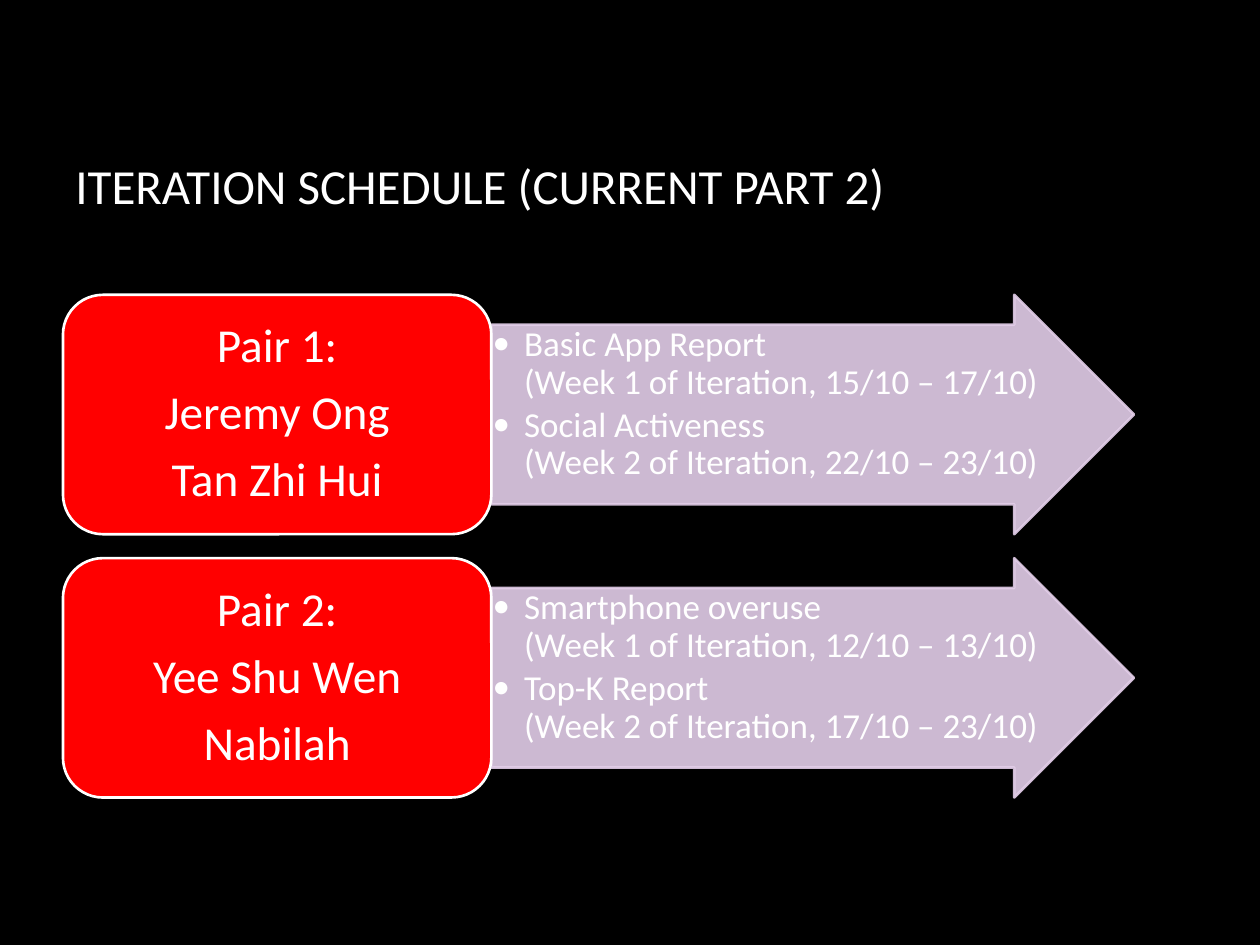
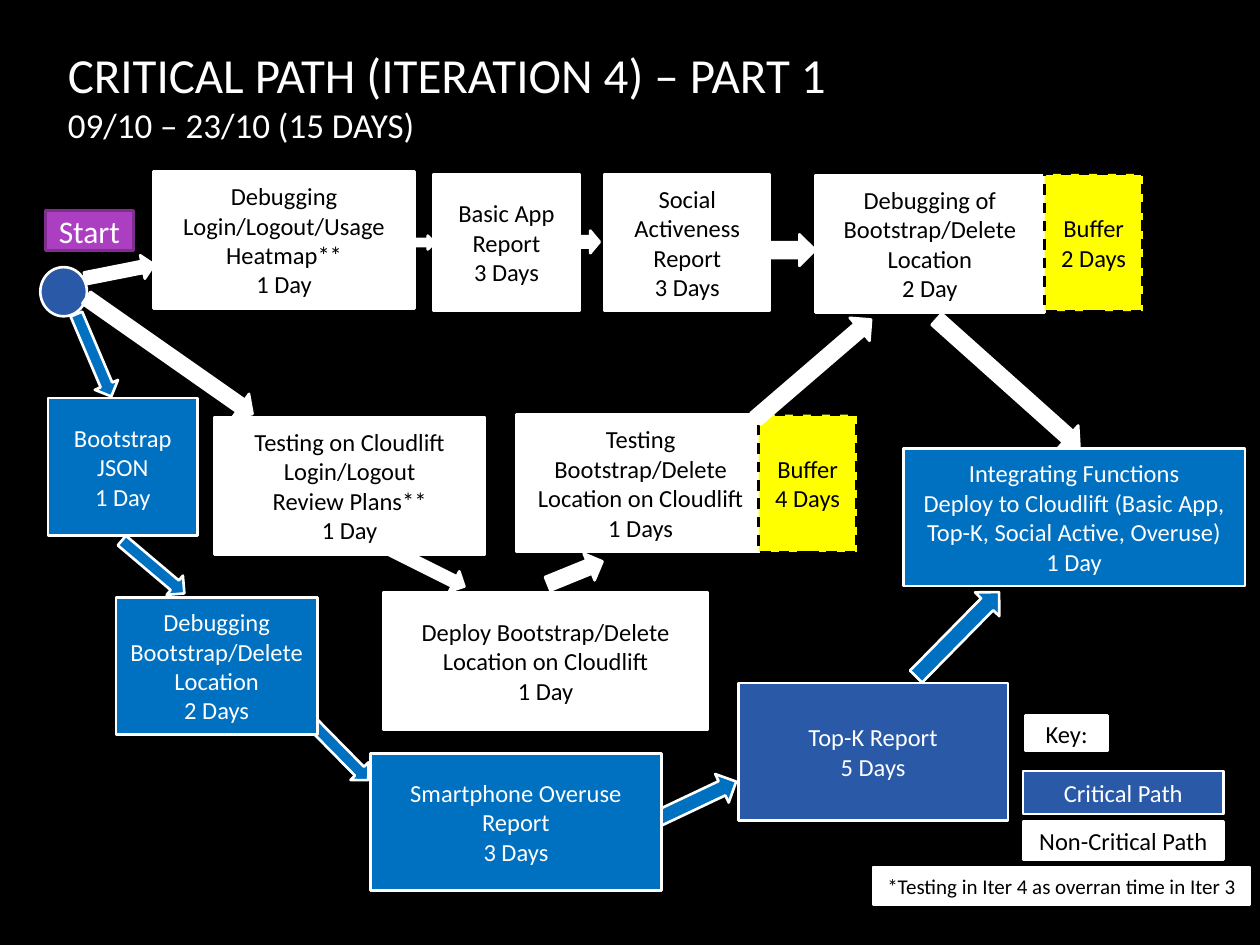
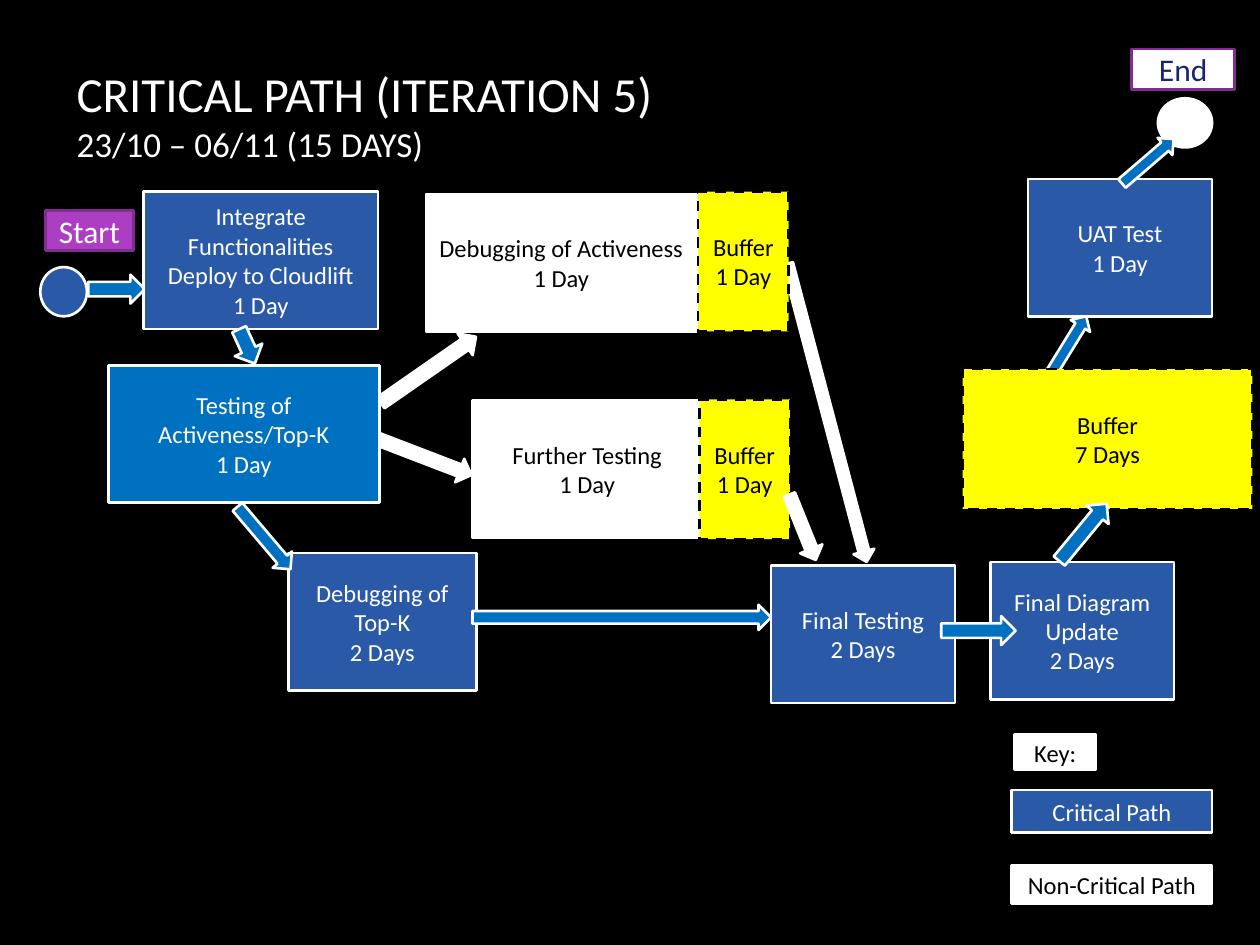
from collections import namedtuple

from lxml.etree import SubElement
from pptx import Presentation
from pptx.dml.color import RGBColor
from pptx.enum.dml import MSO_LINE
from pptx.enum.shapes import MSO_SHAPE as Preset
from pptx.enum.text import MSO_ANCHOR as Anchor, PP_ALIGN as Align
from pptx.oxml.ns import qn
from pptx.util import Inches, Pt

BLACK = RGBColor(0x00, 0x00, 0x00)
WHITE = RGBColor(0xFF, 0xFF, 0xFF)
NAVY = RGBColor(0x2A, 0x59, 0xA8)
BLUE = RGBColor(0x00, 0x70, 0xC0)
YELLOW = RGBColor(0xFF, 0xFF, 0x00)
RED = RGBColor(0xFF, 0x00, 0x00)
LILAC = RGBColor(0xE3, 0xCE, 0xE9)
PURPLE = RGBColor(0xAC, 0x3E, 0xC1)
PLUM = RGBColor(0x7F, 0x2E, 0x8F)
INK = RGBColor(0x18, 0x27, 0x6C)
FONT = "Calibri"
TASK_HEIGHT = 1.09

Style = namedtuple("Style", "preset fill line ink size", defaults=(WHITE, WHITE, 14))
CRITICAL = Style(Preset.RECTANGLE, NAVY)
ACTIVE = Style(Preset.RECTANGLE, BLUE)
PLAIN = Style(Preset.RECTANGLE, WHITE, ink=BLACK)
NOTE = PLAIN._replace(size=12)
BUFFER = Style(Preset.RECTANGLE, YELLOW, BLACK, BLACK)
START = Style(Preset.RECTANGLE, PURPLE, PLUM, size=18)
END = Style(Preset.RECTANGLE, WHITE, PLUM, INK, 18)
START_DOT = Style(Preset.OVAL, NAVY)
END_DOT = Style(Preset.OVAL, WHITE)
BLUE_ARROW = Style(Preset.RIGHT_ARROW, BLUE)
WHITE_ARROW = Style(Preset.RIGHT_ARROW, WHITE)
PAIR = Style(Preset.ROUNDED_RECTANGLE, RED, size=27)
WORK = Style(Preset.RIGHT_ARROW, LILAC, LILAC, size=20)

PAIRS = [
    (["Pair 1:", "Jeremy Ong", "Tan Zhi Hui"],
     ["Basic App Report\n(Week 1 of Iteration, 15/10 – 17/10)",
      "Social Activeness\n(Week 2 of Iteration, 22/10 – 23/10)"]),
    (["Pair 2:", "Yee Shu Wen", "Nabilah"],
     ["Smartphone overuse\n(Week 1 of Iteration, 12/10 – 13/10)",
      "Top-K Report\n(Week 2 of Iteration, 17/10 – 23/10)"]),
]

ITERATION_4 = [
    (BLUE_ARROW, 0.39, 2.72, 0.71, 0.2, 67),
    (WHITE_ARROW, 4.61, 1.83, 0.15, 0.18, 0),
    (PLAIN, 1.22, 1.36, 2.07, TASK_HEIGHT,
     ["Debugging Login/Logout/Usage Heatmap**", "1 Day"]),
    (BLUE_ARROW, 2.37, 5.86, 0.65, 0.2, 45.5),
    (PLAIN, 4.1, 3.29, 1.97, TASK_HEIGHT,
     ["Testing Bootstrap/Delete Location on Cloudlift", "1 Days"]),
    (WHITE_ARROW, 0.54, 2.71, 1.61, 0.23, 35),
    (WHITE_ARROW, 0.67, 2.06, 0.56, 0.19, 348.8),
    (WHITE_ARROW, 3.25, 1.87, 0.2, 0.11, 0),
    (PLAIN, 1.7, 3.31, 2.15, TASK_HEIGHT,
     ["Testing on Cloudlift", "Login/Logout", "Review Plans**", "1 Day"]),
    (ACTIVE, 0.38, 3.16, 1.19, TASK_HEIGHT, ["Bootstrap JSON", "1 Day"]),
    (BLUE_ARROW, 0.89, 4.4, 0.65, 0.2, 40.2),
    (CRITICAL, 5.86, 5.42, 2.14, TASK_HEIGHT, ["Top-K Report", "5 Days"]),
    (BLUE_ARROW, 5.12, 6.24, 0.76, 0.25, 334.7),
    (WHITE_ARROW, 4.33, 4.43, 0.47, 0.23, 337.8),
    (PLAIN, 3.04, 4.7, 2.58, TASK_HEIGHT,
     ["Deploy Bootstrap/Delete Location on Cloudlift", "1 Day"]),
    (ACTIVE, 0.92, 4.74, 1.6, TASK_HEIGHT,
     ["Debugging Bootstrap/Delete Location", "2 Days"]),
    (ACTIVE, 2.94, 5.98, 2.31, TASK_HEIGHT, ["Smartphone Overuse Report", "3 Days"]),
    (PLAIN, 4.8, 1.38, 1.31, TASK_HEIGHT, ["Social Activeness Report", "3 Days"]),
    (PLAIN, 3.44, 1.38, 1.16, TASK_HEIGHT, ["Basic App Report", "3 Days"]),
    (NOTE, 6.93, 6.88, 2.99, 0.3, ["*Testing in Iter 4 as overran time in Iter 3"]),
    (BLUE_ARROW, 7.13, 4.9, 0.94, 0.27, 314.5),
    (WHITE_ARROW, 3.07, 4.42, 0.65, 0.18, 26.6),
    (WHITE_ARROW, 6.08, 1.86, 0.39, 0.25, 0),
    (BUFFER, 6.02, 3.29, 0.78, TASK_HEIGHT, ["Buffer", "4 Days"]),
    (ACTIVE, 7.17, 3.56, 2.71, TASK_HEIGHT,
     ["Integrating Functions",
      "Deploy to Cloudlift (Basic App, Top-K, Social Active, Overuse)", "1 Day"]),
    (WHITE_ARROW, 5.85, 2.81, 1.21, 0.24, 319.3),
    (PLAIN, 6.47, 1.39, 1.82, TASK_HEIGHT,
     ["Debugging of Bootstrap/Delete Location", "2 Day"]),
    (BUFFER, 8.29, 1.38, 0.78, TASK_HEIGHT, ["Buffer", "2 Days"]),
    (WHITE_ARROW, 7.24, 2.92, 1.52, 0.24, 41.8),
]

ITERATION_5 = [
    (WHITE_ARROW, 2.94, 2.83, 0.92, 0.21, 325.2),
    (BLUE_ARROW, 0.7, 2.18, 0.45, 0.23, 0),
    (WHITE_ARROW, 5.34, 3.19, 2.45, 0.17, 75.2),
    (PLAIN, 3.75, 3.18, 1.82, TASK_HEIGHT, ["Further Testing", "1 Day"]),
    (BUFFER, 5.55, 3.17, 0.72, 1.11, ["Buffer", "1 Day"]),
    (WHITE_ARROW, 6.09, 4.09, 0.56, 0.19, 68),
    (CRITICAL, 2.29, 4.39, 1.49, TASK_HEIGHT, ["Debugging of Top-K", "2 Days"]),
    (WHITE_ARROW, 2.93, 3.52, 0.84, 0.2, 21),
    (END_DOT, 9.19, 0.78, 0.43, 0.39, 0),
    (END, 8.98, 0.39, 0.82, 0.32, ["End"]),
    (PLAIN, 3.38, 1.54, 2.15, TASK_HEIGHT, ["Debugging of Activeness", "1 Day"]),
    (ACTIVE, 0.86, 2.9, 2.15, TASK_HEIGHT, ["Testing of Activeness/Top-K", "1 Day"]),
    (BLUE_ARROW, 1.77, 4.17, 0.65, 0.2, 49.7),
    (CRITICAL, 1.14, 1.52, 1.86, TASK_HEIGHT,
     ["Integrate Functionalities", "Deploy to Cloudlift", "1 Day"]),
    (BLUE_ARROW, 1.81, 2.63, 0.3, 0.24, 65.3),
    (BLUE_ARROW, 3.75, 4.8, 2.37, 0.2, 0),
    (CRITICAL, 8.16, 1.42, 1.46, TASK_HEIGHT, ["UAT Test", "1 Day"]),
    (BLUE_ARROW, 8.21, 2.65, 0.54, 0.18, 301.6),
    (BUFFER, 5.54, 1.52, 0.72, 1.11, ["Buffer", "1 Day"]),
    (BUFFER, 7.64, 2.93, 2.3, 1.11, ["Buffer", "7 Days"]),
    (BLUE_ARROW, 8.84, 1.19, 0.54, 0.18, 319.3),
    (CRITICAL, 6.12, 4.49, 1.46, TASK_HEIGHT, ["Final Testing", "2 Days"]),
    (CRITICAL, 7.86, 4.46, 1.46, TASK_HEIGHT, ["Final Diagram Update", "2 Days"]),
    (BLUE_ARROW, 8.3, 4.11, 0.59, 0.23, 309.6),
    (BLUE_ARROW, 7.47, 4.89, 0.59, 0.23, 0),
]

SCHEDULES = [
    (["CRITICAL PATH (ITERATION 4) – PART 1", "09/10 – 23/10 (15 DAYS)"],
     (0.44, -0.04), ITERATION_4, 8.12, (5.68, 6.12, 6.52)),
    (["CRITICAL PATH (ITERATION 5)", "23/10 – 06/11 (15 DAYS)"],
     (0.51, 0.11), ITERATION_5, 8.03, (5.83, 6.27, 6.87)),
]


def add_run(para, text, size, color):
    span = para.add_run()
    span.text = text
    span.font.name = FONT
    span.font.size = Pt(size)
    span.font.color.rgb = color


def write(frame, paragraphs, size, color, align):
    frame.word_wrap = True
    for index, text in enumerate(paragraphs):
        para = frame.paragraphs[0] if index == 0 else frame.add_paragraph()
        para.alignment = align
        for row, line in enumerate(text.split("\n")):
            if row:
                para.add_line_break()
            add_run(para, line, size, color)


def add_part(page, style, left, top, width, height, content, align=Align.CENTER):
    shape = page.shapes.add_shape(
        style.preset, Inches(left), Inches(top), Inches(width), Inches(height))
    shape.shadow.inherit = False
    shape.fill.solid()
    shape.fill.fore_color.rgb = style.fill
    shape.line.color.rgb = style.line
    shape.line.width = Pt(1.5)
    if style is BUFFER:
        shape.line.dash_style = MSO_LINE.DASH
    if isinstance(content, list):
        shape.text_frame.vertical_anchor = Anchor.MIDDLE
        write(shape.text_frame, content, style.size, style.ink, align)
    else:
        shape.rotation = content
    return shape


def add_page(deck, title, left, top):
    page = deck.slides.add_slide(deck.slide_layouts[6])
    page.background.fill.solid()
    page.background.fill.fore_color.rgb = BLACK
    box = page.shapes.add_textbox(Inches(left), Inches(top), Inches(8.5), Inches(1.59))
    frame = box.text_frame
    frame.word_wrap = True
    frame.vertical_anchor = Anchor.MIDDLE
    para = frame.paragraphs[0]
    for index, (line, size) in enumerate(zip(title, (28, 20))):
        if index:
            para.add_line_break()
        add_run(para, line, size, WHITE)
    return page


def set_margins(frame, side, end):
    frame.margin_left = frame.margin_right = Inches(side)
    frame.margin_top = frame.margin_bottom = Inches(end)


def set_spacing(frame, after):
    for para in frame.paragraphs:
        para.line_spacing = 0.9
        para.space_after = Pt(after)


def make_translucent(shape, percent):
    for color in shape._element.spPr.iter(qn("a:srgbClr")):
        SubElement(color, qn("a:alpha")).set("val", str(percent * 1000))


def add_bullets(frame):
    for para in frame.paragraphs:
        properties = para._p.get_or_add_pPr()
        properties.set("marL", str(Inches(0.25)))
        properties.set("indent", str(-Inches(0.25)))
        SubElement(properties, qn("a:buFont")).set("typeface", FONT)
        SubElement(properties, qn("a:buChar")).set("char", "•")


def add_pair(page, top, names, reports):
    work = add_part(page, WORK, 3.9, top, 5.1, 1.9, reports, Align.LEFT)
    work.adjustments[0] = 0.75
    make_translucent(work, 90)
    work.text_frame.vertical_anchor = Anchor.TOP
    set_margins(work.text_frame, 0.01, 0.01)
    add_bullets(work.text_frame)
    set_spacing(work.text_frame, 3)
    pair = add_part(page, PAIR, 0.5, top, 3.4, 1.9, names)
    set_margins(pair.text_frame, 0.11, 0.06)
    set_spacing(pair.text_frame, 9)


def add_start(page):
    add_part(page, START_DOT, 0.32, 2.12, 0.37, 0.39, 0)
    add_part(page, START, 0.36, 1.67, 0.7, 0.32, ["Start"])


def add_key(page, left, tops):
    key_top, critical_top, plain_top = tops
    add_part(page, PLAIN, left + 0.02, key_top, 0.65, 0.28, ["Key:"])
    add_part(page, CRITICAL, left, critical_top, 1.59, 0.34, ["Critical Path"])
    add_part(page, PLAIN, left, plain_top, 1.59, 0.3, ["Non-Critical Path"])


def main():
    deck = Presentation()
    deck.slide_width, deck.slide_height = Inches(10), Inches(7.5)
    page = add_page(deck, ["ITERATION SCHEDULE (CURRENT PART 2)"], 0.5, 0.67)
    for index, (names, reports) in enumerate(PAIRS):
        add_pair(page, 2.34 + index * 2.09, names, reports)
    for title, corner, parts, key_left, key_tops in SCHEDULES:
        page = add_page(deck, title, *corner)
        add_start(page)
        for part in parts:
            add_part(page, *part)
        add_key(page, key_left, key_tops)
    deck.save("out.pptx")


if __name__ == "__main__":
    main()
